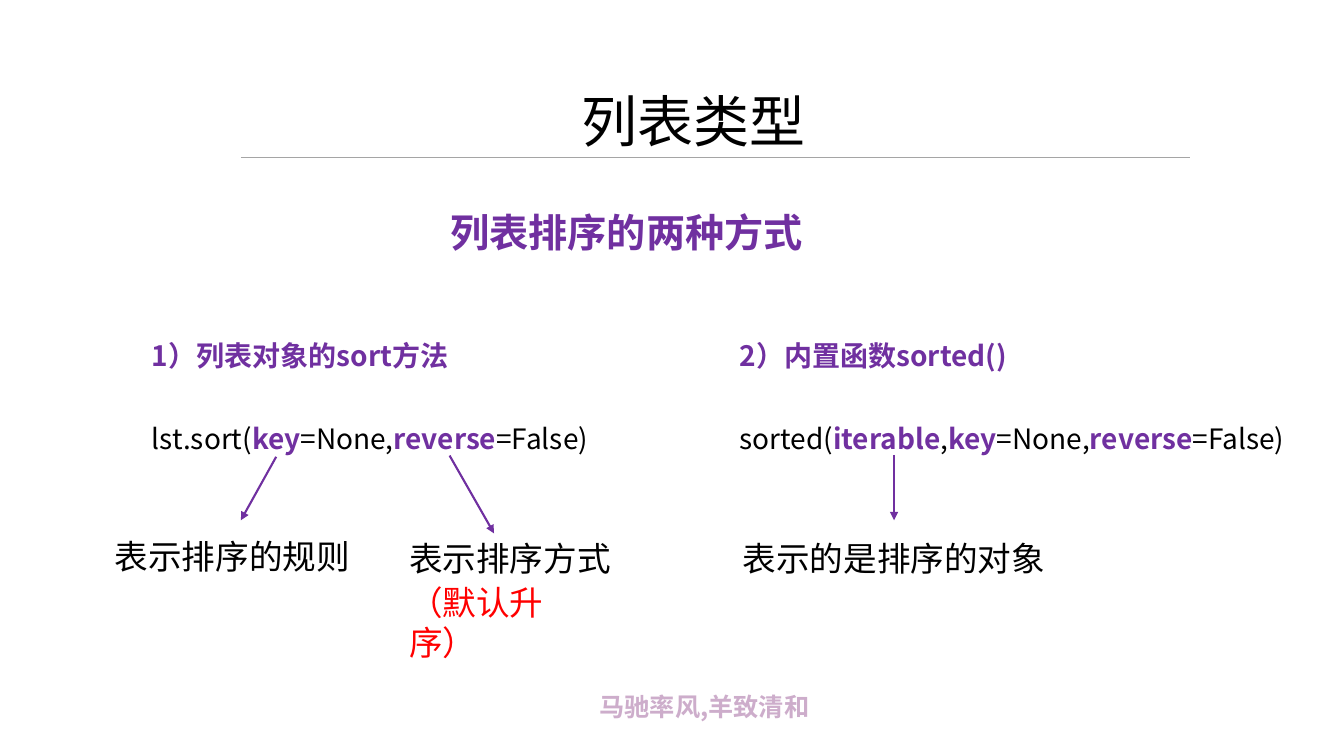
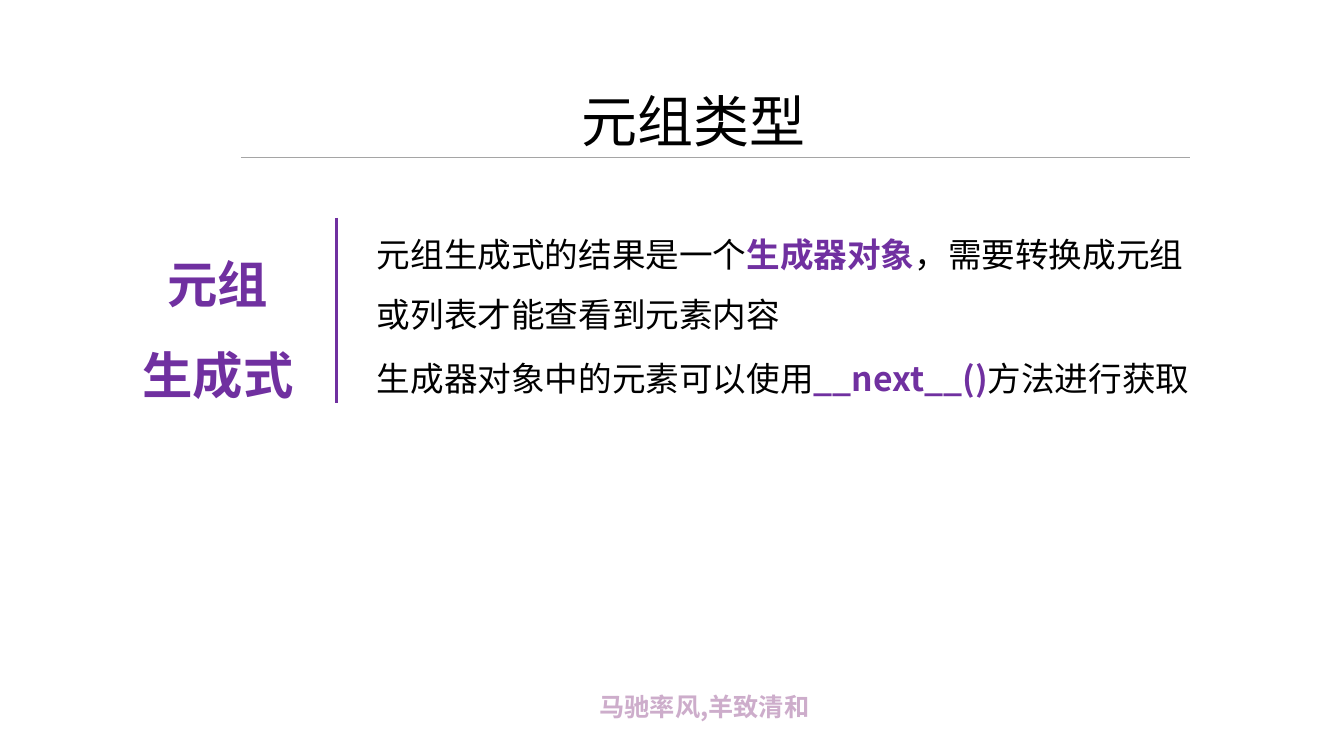
from lxml import etree
from pptx import Presentation
from pptx import util as u
from pptx.dml.color import RGBColor
from pptx.enum import shapes, text
from pptx.oxml import ns

FONT = "Noto Sans CJK SC"
BLACK, PURPLE, RED = "000000", "7030A0", "FF0000"
LILAC, GREY = "CDADCB", "A5A5A5"
FOOTER = "马驰率风,羊致清和"


def color(value):
    return RGBColor.from_string(value)


def add_child(parent, tag, **attributes):
    return etree.SubElement(parent, ns.qn(tag), attributes)


def format_run(run, size, ink, bold):
    font = run.font
    font.size, font.bold, font.name = u.Pt(size), bold, FONT
    font.color.rgb = color(ink)
    add_child(font._element, "a:ea", typeface=FONT)


def add_text(page, left, top, width, height, content, size, ink=BLACK,
             bold=False, spacing=1, align=None, wrap=True):
    """Add a text box; newlines split paragraphs, *stars* mark emphasis."""
    box = page.shapes.add_textbox(u.Cm(left), u.Cm(top), u.Cm(width), u.Cm(height))
    frame = box.text_frame
    frame.word_wrap = wrap
    frame.auto_size = text.MSO_AUTO_SIZE.SHAPE_TO_FIT_TEXT
    frame.text = content.replace("*", "")
    for para, line in zip(frame.paragraphs, content.split("\n")):
        para.line_spacing, para.alignment = spacing, align
        para.clear()
        for index, span in enumerate(line.split("*")):
            run = para.add_run()
            run.text = span
            strong = index % 2 == 1
            format_run(run, size, PURPLE if strong else ink, bold or strong)


def add_line(page, start, end, ink=PURPLE, width=1.5, arrow=False):
    points = [u.Cm(value) for value in (*start, *end)]
    line = page.shapes.add_connector(shapes.MSO_CONNECTOR.STRAIGHT, *points)
    line.line.color.rgb = color(ink)
    line.line.width = u.Pt(width)
    if arrow:
        add_child(line.line._get_or_add_ln(), "a:tailEnd", type="triangle")
    add_child(line._element.spPr, "a:effectLst")


def add_page(deck, title):
    """Add a blank slide with the shared title, rule and footer."""
    page = deck.slides.add_slide(deck.slide_layouts[6])
    add_text(page, 14.86, 17.3, 7.21, 1.02, FOOTER, 18, LILAC, bold=True)
    add_line(page, (6.07, 3.96), (30, 3.96), GREY, 0.5)
    add_text(page, 14.4, 2.06, 6.22, 1.96, title, 40, wrap=False)
    return page


def add_method(page, left, width, heading, signature):
    add_text(page, left, 7.98, width, 1.4, heading, 20, PURPLE, bold=True, spacing=1.5)
    add_text(page, left, 10.08, width, 1.4, signature, 20, spacing=1.5)


def build_sorting(deck):
    page = add_page(deck, "列表类型")
    add_text(page, 11.1, 4.52, 9.75, 1.83, "列表排序的两种方式", 28, PURPLE,
             bold=True, spacing=1.5)
    add_method(page, 3.58, 12.95, "1）列表对象的sort方法",
               "lst.sort(*key*=None,*reverse*=False)")
    add_method(page, 18.39, 15.21, "2）内置函数sorted()",
               "sorted(*iterable*,*key*=None,*reverse*=False)")
    for start, end in (
        ((6.96, 11.51), (6.07, 13.11)),
        ((11.33, 11.48), (12.45, 13.44)),
        ((22.53, 11.46), (22.53, 13.11)),
    ):
        add_line(page, start, end, arrow=True)
    for left, top, width, note, ink in (
        (2.64, 13.39, 6.83, "表示排序的规则", BLACK),
        (10.06, 13.44, 6.83, "表示排序方式", BLACK),
        (10.06, 14.53, 5.44, "（默认升序）", RED),
        (18.47, 13.44, 9.17, "表示的是排序的对象", BLACK),
    ):
        add_text(page, left, top, width, 1.27, note, 24, ink)


def build_generator(deck):
    page = add_page(deck, "元组类型")
    add_text(page, 2.9, 5.49, 5.18, 4.6, "元组\n生成式", 36, PURPLE, bold=True,
             spacing=1.5, align=text.PP_ALIGN.CENTER)
    add_line(page, (8.48, 5.49), (8.48, 10.16))
    add_text(page, 9.25, 5.26, 21.26, 3.18,
             "元组生成式的结果是一个*生成器对象*，需要转换成元组或列表才能查看到元素内容",
             24, spacing=1.5)
    add_text(page, 9.25, 8.89, 23.62, 1.27,
             "生成器对象中的元素可以使用*__next__()*方法进行获取", 24)


def main():
    deck = Presentation()
    deck.slide_width, deck.slide_height = u.Cm(33.87), u.Cm(19.05)
    build_sorting(deck)
    build_generator(deck)
    deck.save("out.pptx")


if __name__ == "__main__":
    main()
